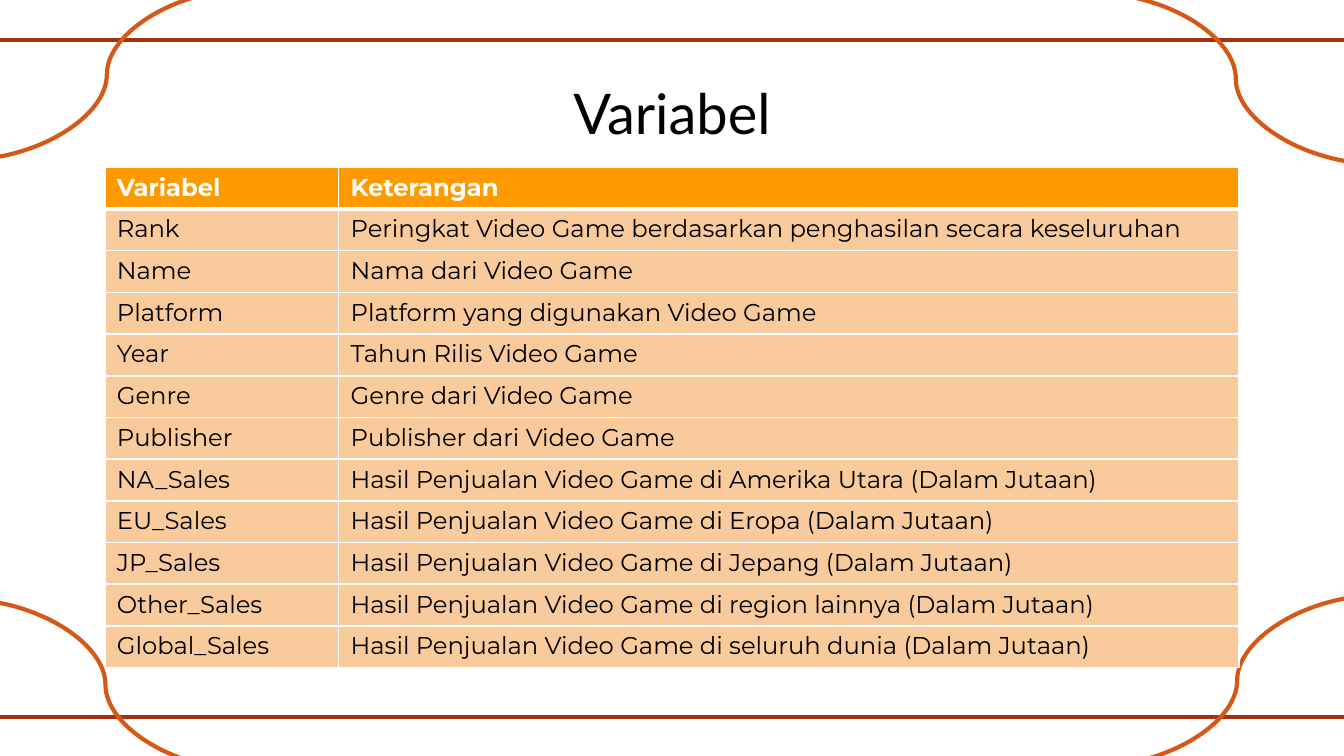
import dataclasses

import pptx
import pptx.dml.color
import pptx.enum.shapes
import pptx.enum.text
import pptx.oxml.ns
import pptx.util
from lxml import etree

RGB = pptx.dml.color.RGBColor
KIND = pptx.enum.shapes.MSO_CONNECTOR
RUST = RGB(0xA5, 0x30, 0x0F)
ORANGE = RGB(0xD5, 0x58, 0x16)
AMBER = RGB(0xFF, 0x99, 0x00)
PEACH = RGB(0xF9, 0xCB, 0x9C)
WHITE = RGB(0xFF, 0xFF, 0xFF)
BLACK = RGB(0x00, 0x00, 0x00)

WIDTH = pptx.util.Inches(10)
HEIGHT = WIDTH * 9 // 16
LEFT, SPAN = 7.8, 84.4
SPLIT = 17.4

SALES = "Hasil Penjualan Video Game di {} (Dalam Jutaan)"
ROWS = [
    ("Variabel", "Keterangan"),
    ("Rank", "Peringkat Video Game berdasarkan penghasilan secara keseluruhan"),
    ("Name", "Nama dari Video Game"),
    ("Platform", "Platform yang digunakan Video Game"),
    ("Year", "Tahun Rilis Video Game"),
    ("Genre", "Genre dari Video Game"),
    ("Publisher", "Publisher dari Video Game"),
    ("NA_Sales", SALES.format("Amerika Utara")),
    ("EU_Sales", SALES.format("Eropa")),
    ("JP_Sales", SALES.format("Jepang")),
    ("Other_Sales", SALES.format("region lainnya")),
    ("Global_Sales", SALES.format("seluruh dunia")),
]


@dataclasses.dataclass
class Stroke:
    kind: KIND
    color: RGB
    x: float
    y: float
    wide: float
    high: float = 0


RULES = [Stroke(KIND.STRAIGHT, RUST, -0.8, y, 101.6) for y in (5.3, 94.8)]
CURVES = [
    Stroke(KIND.CURVE, ORANGE, x, y, wide, 22.58)
    for x, y, wide in (
        (-2.7, 79.29, 21.1),
        (81.4, -0.89, 21.1),
        (102.6, 78.76, -21.1),
        (18.5, -1.42, -21.1),
    )
]


def col(share: float) -> int:
    return round(WIDTH * share / 100)


def row(share: float) -> int:
    return round(HEIGHT * share / 100)


def style(text, face: str, size: float, color: RGB, bold: bool = False) -> None:
    for run in text.paragraphs[0].runs:
        font = run.font
        font.name, font.size, font.bold = face, pptx.util.Pt(size), bold
        font.color.rgb = color


def draw(slide, item: Stroke) -> None:
    line = slide.shapes.add_connector(
        item.kind, col(item.x), row(item.y),
        col(item.x + item.wide), row(item.y + item.high),
    )
    line.line.color.rgb = item.color
    line.line.width = pptx.util.Pt(2.25)
    etree.SubElement(line._element.spPr, pptx.oxml.ns.qn("a:effectLst"))


def edge(cell, side: str, points: float) -> None:
    qn = pptx.oxml.ns.qn
    line = etree.SubElement(cell._tc.get_or_add_tcPr(), qn(f"a:ln{side}"))
    line.set("w", str(pptx.util.Pt(points)))
    fill = etree.SubElement(line, qn("a:solidFill"))
    etree.SubElement(fill, qn("a:srgbClr")).set("val", str(WHITE))


def title(slide) -> None:
    box = slide.shapes.add_textbox(col(LEFT), row(8.65), col(SPAN), row(11.2))
    text = box.text_frame
    text.word_wrap = True
    text.vertical_anchor = pptx.enum.text.MSO_ANCHOR.TOP
    text.margin_left = text.margin_right = pptx.util.Inches(0.1)
    text.margin_top = text.margin_bottom = pptx.util.Inches(0.1)
    text.text = "Variabel"
    text.paragraphs[0].alignment = pptx.enum.text.PP_ALIGN.CENTER
    style(text, "Lato", 30, BLACK)


def grid(slide) -> None:
    table = slide.shapes.add_table(
        len(ROWS), 2, col(LEFT), row(22.13), col(SPAN), row(66.2)
    ).table
    table.horz_banding = False
    table.columns[0].width = col(SPLIT)
    table.columns[1].width = col(SPAN - SPLIT)
    for r, words in enumerate(ROWS):
        for c, word in enumerate(words):
            cell = table.cell(r, c)
            cell.margin_left = cell.margin_right = pptx.util.Inches(0.09)
            cell.margin_top = cell.margin_bottom = pptx.util.Inches(0.04)
            cell.text_frame.text = word
            head = r == 0
            style(cell.text_frame, "Montserrat", 13, WHITE if head else BLACK, head)
            edge(cell, "L", 1)
            edge(cell, "R", 1)
            edge(cell, "T", 3 if r == 1 else 1)
            edge(cell, "B", 3 if head else 1)
            cell.fill.solid()
            cell.fill.fore_color.rgb = AMBER if head else PEACH


def main() -> None:
    deck = pptx.Presentation()
    deck.slide_width, deck.slide_height = WIDTH, HEIGHT
    slide = deck.slides.add_slide(deck.slide_layouts[6])
    for item in RULES + CURVES:
        draw(slide, item)
    title(slide)
    grid(slide)
    deck.save("out.pptx")


if __name__ == "__main__":
    main()
